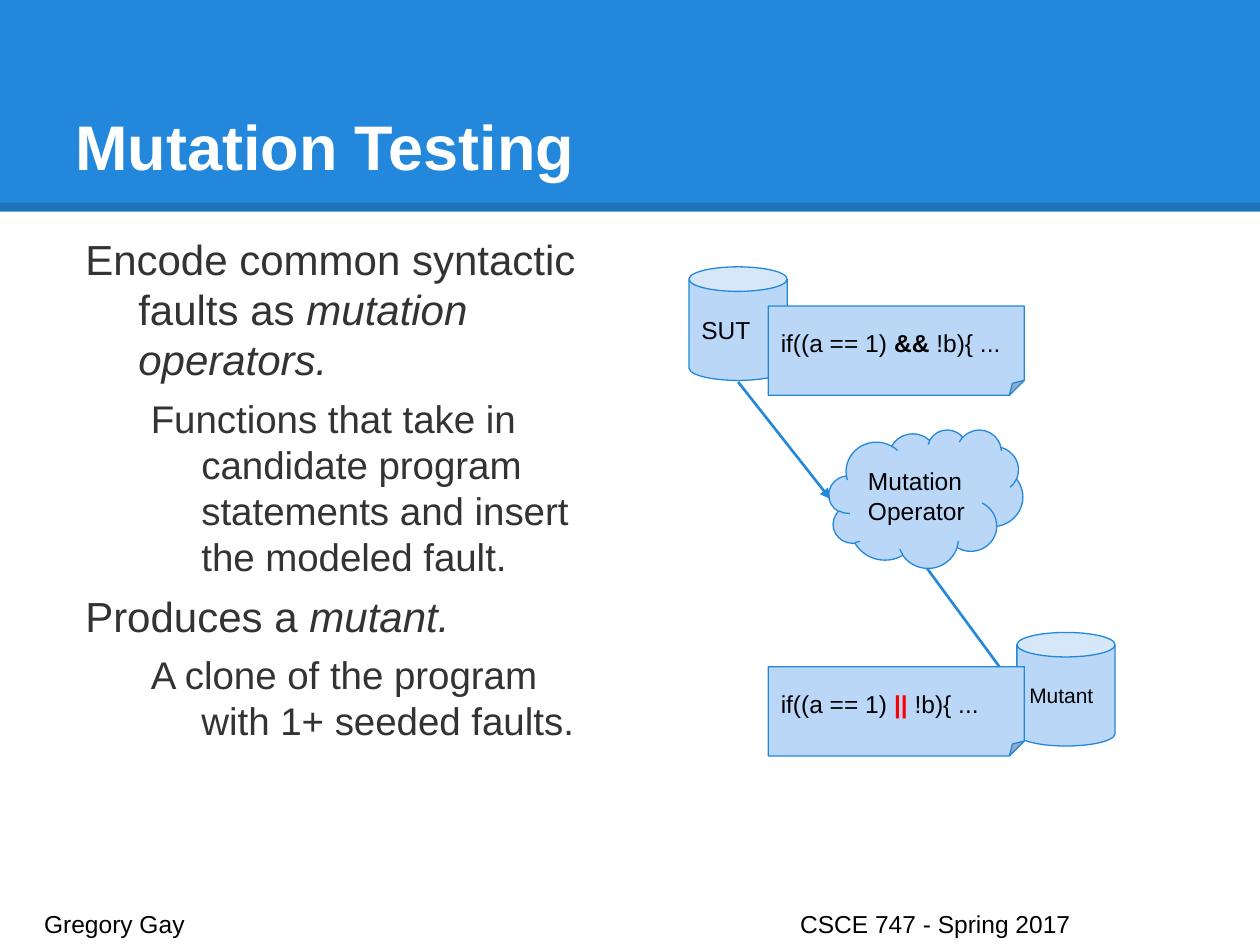
from lxml.etree import SubElement
from pptx import Presentation
from pptx.dml.color import RGBColor
from pptx.enum.shapes import MSO_CONNECTOR as Link, MSO_SHAPE as Kind
from pptx.enum.text import MSO_ANCHOR as Anchor, MSO_AUTO_SIZE as Fit, PP_ALIGN as Align
from pptx.oxml.ns import qn
from pptx.util import Cm, Pt

BLUE = RGBColor(0x23, 0x88, 0xDB)
PALE = RGBColor(0xBB, 0xD7, 0xF8)
WHITE = RGBColor(0xFF, 0xFF, 0xFF)
BLACK = RGBColor(0, 0, 0)
GRAY = RGBColor(0x33, 0x33, 0x33)
RED = RGBColor(0xFF, 0, 0)


def add_run(para, text, size, color=BLACK, bold=False, italic=False):
    """Append one formatted run to a paragraph."""
    run = para.add_run()
    run.text = text
    font = run.font
    font.name, font.size = "Arial", Pt(size)
    font.bold, font.italic = bold, italic
    font.color.rgb = color


def set_frame(shape, anchor):
    """Set margins, wrapping and anchor, and return the first paragraph."""
    frame = shape.text_frame
    frame.word_wrap, frame.auto_size = True, Fit.NONE
    frame.vertical_anchor = anchor
    frame.margin_left = frame.margin_right = Cm(0.25)
    frame.margin_top = frame.margin_bottom = Cm(0.25)
    para = frame.paragraphs[0]
    para.alignment = Align.LEFT
    return para


def add_line(slide, start, end, color, width):
    """Draw a straight line without a shadow."""
    ends = [Cm(v) for v in (*start, *end)]
    line = slide.shapes.add_connector(Link.STRAIGHT, *ends)
    line.line.color.rgb, line.line.width = color, Pt(width)
    SubElement(line.element.spPr, qn("a:effectLst"))
    return line


def add_arrow(slide, start, end):
    """Draw a blue arrow."""
    line = add_line(slide, start, end, BLUE, 1.5)
    SubElement(line.element.spPr.find(qn("a:ln")), qn("a:tailEnd"), type="triangle")


def add_node(slide, kind, box, runs, size=14):
    """Draw a pale shape holding left-aligned runs."""
    node = slide.shapes.add_shape(kind, *(Cm(v) for v in box))
    node.shadow.inherit = False
    node.fill.solid()
    node.fill.fore_color.rgb = PALE
    node.line.color.rgb, node.line.width = BLUE, Pt(0.75)
    para = set_frame(node, Anchor.MIDDLE)
    for text, style in runs:
        add_run(para, text, size, **style)


def add_head(slide):
    """Draw the banner with its edge, and set the title on it."""
    band = slide.shapes.add_shape(Kind.RECTANGLE, 0, 0, Cm(25.4), Cm(4.27))
    band.shadow.inherit = False
    band.fill.solid()
    band.fill.fore_color.rgb = BLUE
    band.line.fill.background()
    edge = add_line(slide, (0, 4.17), (25.4, 4.17), BLACK, 4.5)
    tint = next(edge.element.iter(qn("a:srgbClr")))
    SubElement(tint, qn("a:alpha"), val="15000")
    title = slide.shapes.title
    slide.shapes.element.append(title.element)
    title.left, title.top = Cm(1.27), Cm(0.76)
    title.width, title.height = Cm(22.86), Cm(3.18)
    add_run(set_frame(title, Anchor.BOTTOM), "Mutation Testing", 36, WHITE, True)


def add_body(slide, items):
    """Write the two-level outline with hanging indents."""
    box = slide.shapes.add_textbox(Cm(1.27), Cm(4.45), Cm(11.1), Cm(13.79))
    para = set_frame(box, Anchor.TOP)
    for index, (level, plain, slant) in enumerate(items):
        if index:
            para = box.text_frame.add_paragraph()
        para.level, para.space_before = level, Pt(6)
        props = para._p.get_or_add_pPr()
        props.set("marL", str(Cm(1.27 * (level + 1))))
        props.set("indent", str(Cm((-1.07, -1.02)[level])))
        size = (24, 22)[level]
        add_run(para, plain, size, GRAY)
        if slant:
            add_run(para, slant, size, GRAY, italic=True)


def add_foot(slide):
    """Write the author and the course, parted by a tab stop."""
    box = slide.shapes.add_textbox(Cm(0.64), Cm(18.08), Cm(24.16), Cm(0.76))
    para = set_frame(box, Anchor.TOP)
    tabs = SubElement(para._p.get_or_add_pPr(), qn("a:tabLst"))
    SubElement(tabs, qn("a:tab"), pos=str(Cm(15.24)), algn="l")
    add_run(para, "Gregory Gay\tCSCE 747 - Spring 2017", 14)


def main():
    """Build the slide and save it."""
    deck = Presentation()
    deck.slide_width, deck.slide_height = Cm(25.4), Cm(19.05)
    slide = deck.slides.add_slide(deck.slide_layouts[5])
    add_head(slide)
    add_body(slide, [
        (0, "Encode common syntactic faults as ", "mutation operators."),
        (1, "Functions that take in candidate program statements "
            "and insert the modeled fault.", ""),
        (0, "Produces a ", "mutant."),
        (1, "A clone of the program with 1+ seeded faults.", ""),
    ])
    add_foot(slide)
    for left, top, name, size in ((13.89, 5.38, "SUT", 14), (20.5, 12.75, "Mutant", 12)):
        add_node(slide, Kind.CAN, (left, top, 1.98, 2.29), [(name, {})], size)
    add_node(slide, Kind.CLOUD, (16.71, 8.66, 3.91, 2.79), [("Mutation Operator", {})])
    add_arrow(slide, (14.88, 7.7), (16.74, 10.06))
    add_arrow(slide, (18.69, 11.46), (20.5, 13.92))
    for top, sign, color in ((6.17, "&&", BLACK), (13.44, "||", RED)):
        runs = [("if((a == 1) ", {}), (sign, {"bold": True, "color": color}), (" !b){ ...", {})]
        add_node(slide, Kind.FOLDED_CORNER, (15.49, top, 5.16, 1.8), runs)
    deck.save("out.pptx")


if __name__ == "__main__":
    main()
